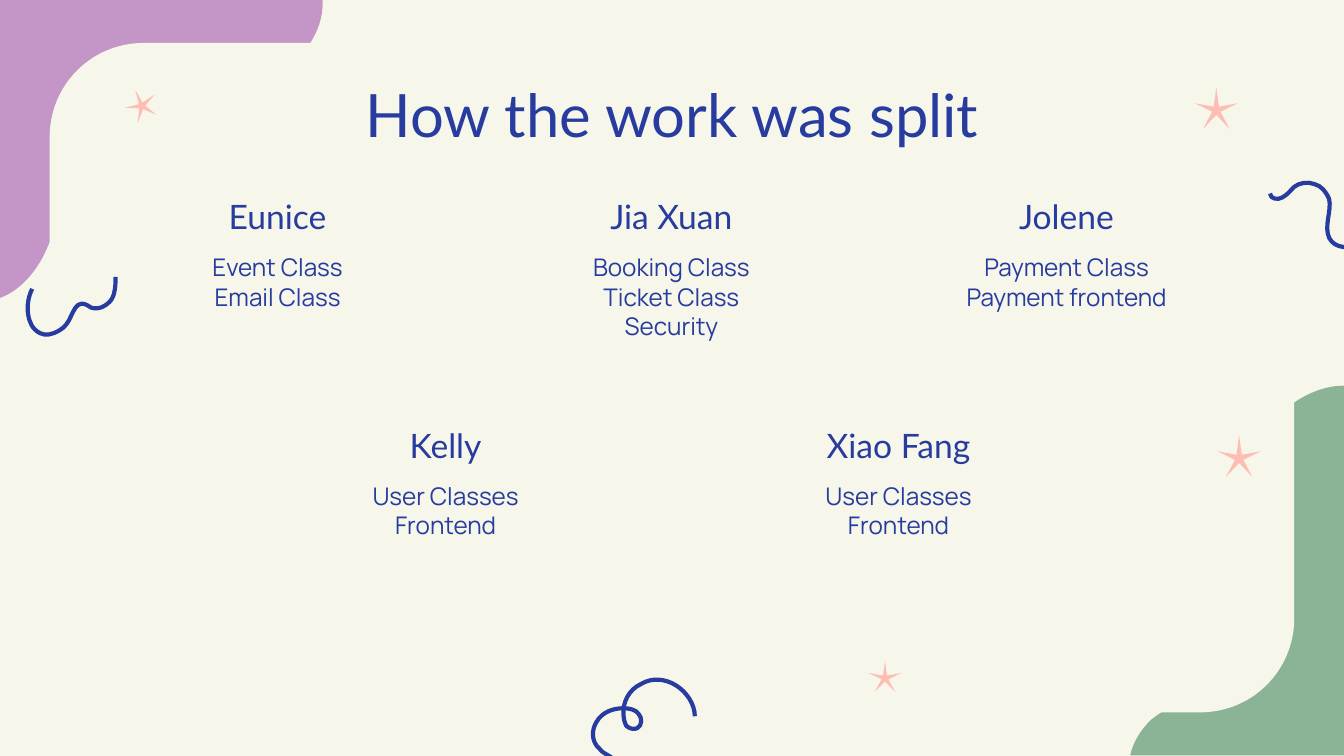
from copy import deepcopy

from lxml import etree
from pptx import Presentation
from pptx.dml.color import RGBColor
from pptx.enum.shapes import MSO_SHAPE as Kind
from pptx.enum.text import MSO_ANCHOR as Anchor, MSO_AUTO_SIZE as Fit, PP_ALIGN as Align
from pptx.oxml.ns import qn
from pptx.util import Emu, Pt

SCALE = 9144
CREAM = RGBColor(0xF6, 0xF6, 0xEA)
BLUE = RGBColor(0x28, 0x3C, 0x9F)
GREEN = RGBColor(0x8B, 0xB4, 0x96)
LILAC = RGBColor(0xC4, 0x95, 0xC7)
PINK = RGBColor(0xFF, 0xBD, 0xB4)

GREEN_BLOB = [
    (158, 0), (158, 0, 159, 0, 159, 0), (159, 275), (0, 275), (2, 265, 8, 256, 15, 249),
    (27, 239, 42, 234, 53, 224), (63, 214, 67, 200, 69, 186),
    (71, 172, 70, 158, 70, 144), (72, 115, 75, 90, 86, 63),
    (92, 48, 102, 31, 113, 20), (124, 9, 142, 0, 158, 0),
]
LILAC_BLOB = [
    (241, 0), (242, 19, 231, 38, 215, 50), (200, 62, 180, 68, 161, 74),
    (142, 80, 123, 85, 105, 94), (81, 107, 62, 126, 50, 149),
    (44, 163, 40, 177, 33, 191), (26, 204, 15, 217, 0, 222), (0, 0),
]
RIGHT_WAVE = [
    (0, 9), (0, 13, 6, 14, 9, 12), (13, 10, 15, 7, 18, 4), (22, 1, 28, 0, 33, 2),
    (38, 3, 42, 8, 44, 13), (46, 22, 40, 33, 44, 42), (48, 50, 60, 51, 66, 45),
]
LEFT_WAVE = [
    (4, 9), (1, 15, 0, 22, 1, 28), (2, 34, 4, 39, 10, 42), (14, 44, 19, 43, 24, 40),
    (28, 38, 31, 34, 33, 29), (35, 25, 37, 20, 41, 20), (44, 20, 46, 22, 48, 23),
    (54, 25, 60, 21, 63, 17), (66, 12, 66, 6, 66, 0),
]
LOOP = [
    (77, 29), (77, 20, 71, 11, 63, 6), (55, 1, 45, 0, 37, 5), (28, 9, 23, 19, 24, 28),
    (24, 31, 25, 34, 26, 36), (28, 38, 31, 39, 34, 38), (38, 36, 38, 30, 35, 27),
    (33, 24, 28, 23, 24, 23), (16, 23, 8, 26, 4, 33), (0, 39, 0, 48, 6, 53),
    (8, 56, 11, 57, 14, 59), (17, 60, 19, 64, 19, 67),
]
TEAM = [
    (97, 128, "Eunice", "Event Class\nEmail Class"),
    (390, 128, "Jia Xuan", "Booking Class\nTicket Class\nSecurity"),
    (684, 128, "Jolene", "Payment Class\nPayment frontend"),
    (222, 298, "Kelly", "User Classes\vFrontend"),
    (559, 298, "Xiao Fang", "User Classes\vFrontend"),
]


def px(num):
    """Turn px into EMU."""
    return Emu(round(num * SCALE))


def bend(shape, parts):
    """Join each run of three lines into one cubic curve."""
    lines = iter(list(shape.element.iter(qn("a:lnTo"))))
    for part in parts[1:]:
        first = next(lines)
        if len(part) == 2:
            continue
        curve = etree.Element(qn("a:cubicBezTo"))
        first.addprevious(curve)
        for line in (first, next(lines), next(lines)):
            curve.append(line[0])
            line.getparent().remove(line)


def draw(slide, left, top, parts, fill=None):
    """Draw a filled blob, or a blue squiggle if no fill is given."""
    dots = [(px(left + x), px(top + y))
            for part in parts for x, y in zip(part[::2], part[1::2])]
    pen = slide.shapes.build_freeform(*dots[0], scale=1.0)
    pen.add_line_segments(dots[1:], close=fill is not None)
    shape = pen.convert_to_shape()
    bend(shape, parts)
    shape.shadow.inherit = False
    if fill is None:
        shape.fill.background()
        shape.line.color.rgb = BLUE
        shape.line.width = Pt(2.25)
    else:
        paint(shape, fill)


def paint(shape, fill):
    """Give a shape a plain fill with no line or shadow."""
    shape.shadow.inherit = False
    shape.fill.solid()
    shape.fill.fore_color.rgb = fill
    shape.line.fill.background()


def preset(slide, kind, box, fill, adj, turn=0):
    """Add a plain preset shape."""
    shape = slide.shapes.add_shape(kind, *map(px, box))
    shape.adjustments[0] = adj
    shape.rotation = turn
    paint(shape, fill)


def decor(slide):
    """Place the blobs, panel, squiggles and stars."""
    draw(slide, 841, 287, GREEN_BLOB, GREEN)
    draw(slide, -1, 0, LILAC_BLOB, LILAC)
    preset(slide, Kind.ROUNDED_RECTANGLE, (37, 32, 926, 498), CREAM, 0.14)
    for left, top, parts in ((945, 135, RIGHT_WAVE), (20, 206, LEFT_WAVE), (440, 504, LOOP)):
        draw(slide, left, top, parts)
    for *box, turn in ((906, 324, 32, 31, 0), (646, 492, 25, 23, 0),
                       (94, 68, 25, 23, 120.9), (889, 65, 32, 31, 0)):
        preset(slide, Kind.STAR_5_POINT, box, PINK, 0.097, turn)


def write(shape, box, text, face, size, anchor=Anchor.TOP):
    """Move a placeholder and set its text."""
    shape.left, shape.top, shape.width, shape.height = map(px, box)
    frame = shape.text_frame
    frame.text = text
    frame.word_wrap = True
    frame.auto_size = Fit.NONE
    frame.vertical_anchor = anchor
    frame.margin_left = frame.margin_right = px(10)
    frame.margin_top = frame.margin_bottom = px(10)
    for para in frame.paragraphs:
        para.alignment = Align.CENTER
        para.space_before = Pt(0)
        font = para.font
        font.name, font.size, font.bold = face, Pt(size), False
        font.color.rgb = BLUE


def clone(slide, model):
    """Add one more placeholder like the model."""
    tree = slide.shapes.element
    item = deepcopy(model)
    num = 100 + len(tree)
    item.nvSpPr.cNvPr.set("id", str(num))
    item.nvSpPr.cNvPr.set("name", f"Text {num}")
    tree.append(item)
    return slide.shapes[-1]


def member(slide, model, left, top, name, tasks):
    """Place a name with its tasks below."""
    write(clone(slide, model), (left, top, 219, 58), name, "Lato", 18, Anchor.BOTTOM)
    write(clone(slide, model), (left, top + 50, 219, 53), tasks, "Manrope", 13)


def main():
    """Build and save the slide."""
    deck = Presentation()
    deck.slide_width, deck.slide_height = px(1000), px(562.5)
    slide = deck.slides.add_slide(deck.slide_layouts.get_by_name("Comparison"))
    back = slide.background.fill
    back.solid()
    back.fore_color.rgb = CREAM
    title, *rest = slide.placeholders
    model = deepcopy(rest[0].element)
    tree = slide.shapes.element
    for spare in rest:
        tree.remove(spare.element)
    decor(slide)
    tree.append(title.element)
    write(title, (79, 48, 842, 63), "How the work was split", "Lato", 32)
    for row in TEAM:
        member(slide, model, *row)
    deck.save("out.pptx")


if __name__ == "__main__":
    main()
